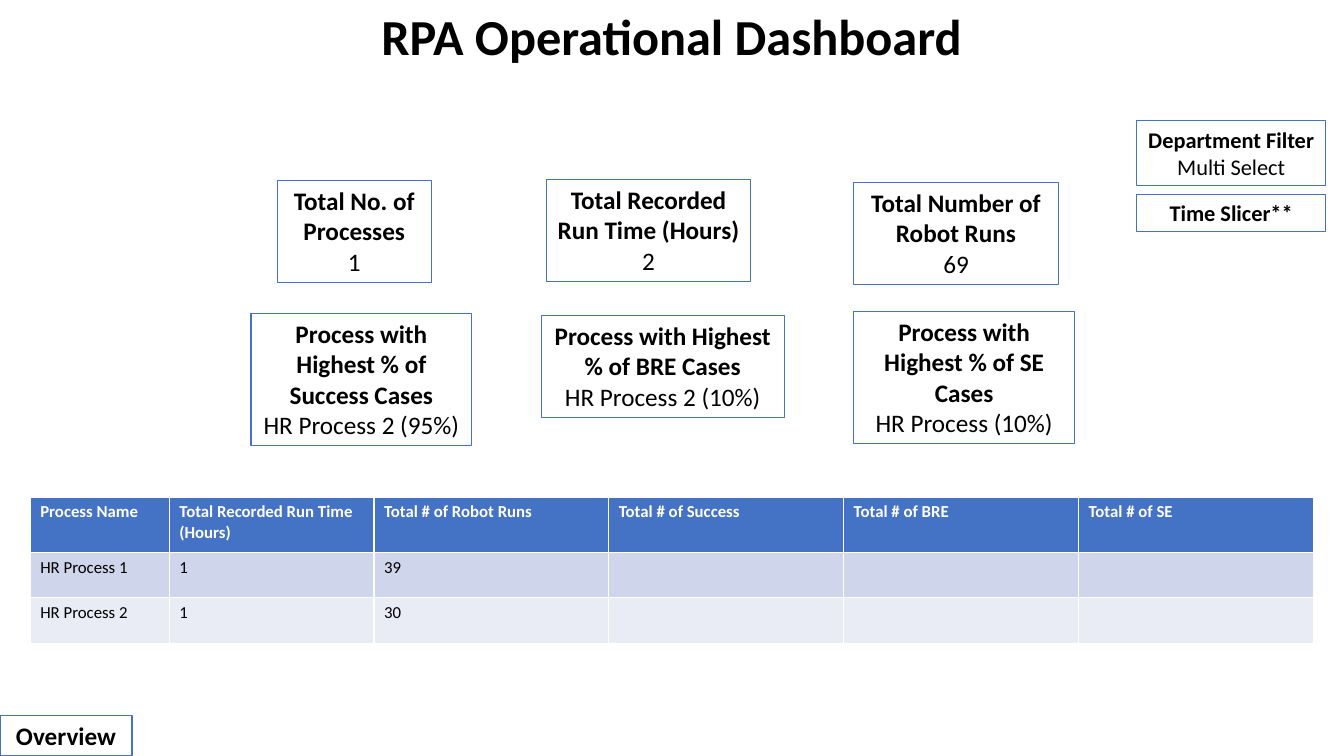
from dataclasses import dataclass

from pptx import Presentation
from pptx.dml.color import RGBColor
from pptx.enum.shapes import MSO_SHAPE
from pptx.enum.text import MSO_ANCHOR, MSO_AUTO_SIZE, PP_ALIGN
from pptx.shapes.autoshape import Shape
from pptx.slide import Slide
from pptx.text.text import TextFrame, _Paragraph as Paragraph
from pptx.util import Pt

BLACK = RGBColor(0x00, 0x00, 0x00)
WHITE = RGBColor(0xFF, 0xFF, 0xFF)
BLUE = RGBColor(0x44, 0x72, 0xC4)
BAND_DARK = RGBColor(0xCF, 0xD5, 0xEA)
BAND_LIGHT = RGBColor(0xE9, 0xEB, 0xF5)
FONT = "Calibri"


@dataclass(frozen=True)
class Card:
    left: float
    top: float
    width: float
    height: float
    heading: str
    value: str = ""
    size: float = 18


CARDS = [
    Card(198, 128.88, 110.16, 72.72, "Total No. of Processes", "1"),
    Card(390.24, 128.16, 146.16, 72.72, "Total Recorded Run Time (Hours)", "2"),
    Card(609.84, 130.32, 146.16, 72.72, "Total Number of Robot Runs", "69"),
    Card(179.28, 223.92, 157.68, 94.32,
         "Process with Highest % of Success Cases", "HR Process 2 (95%)"),
    Card(386.64, 225.36, 173.52, 72.72,
         "Process with Highest % of BRE Cases", "HR Process 2 (10%)"),
    Card(609.84, 222.48, 157.68, 94.32,
         "Process with Highest % of SE Cases", "HR Process (10%)"),
    Card(812.16, 86.4, 134.64, 46.08, "Department Filter", "Multi Select", 16),
    Card(812.16, 138.96, 134.64, 26.64, "Time Slicer**", size=16),
    Card(0, 511.2, 94.32, 28.8, "Overview"),
]

TABLE_ROWS = [
    ["Process Name", "Total Recorded Run Time (Hours)", "Total # of Robot Runs",
     "Total # of Success", "Total # of BRE", "Total # of SE"],
    ["HR Process 1", "1", "39", "", "", ""],
    ["HR Process 2", "1", "30", "", "", ""],
]
COLUMN_WIDTHS = [99.36, 146.16] + [167.76] * 4
ROW_HEIGHTS = [39.6, 32.4, 32.4]
ROW_FILLS = [BLUE, BAND_DARK, BAND_LIGHT]


def format_paragraph(paragraph: Paragraph, size: float, color: RGBColor, bold: bool) -> None:
    for run in paragraph.runs:
        run.font.name = FONT
        run.font.size = Pt(size)
        run.font.color.rgb = color
        run.font.bold = bold


def fill_text(text_frame: TextFrame, heading: str, value: str, size: float) -> None:
    text_frame.text = f"{heading}\n{value}" if value else heading
    text_frame.word_wrap = True
    text_frame.auto_size = MSO_AUTO_SIZE.SHAPE_TO_FIT_TEXT
    text_frame.vertical_anchor = MSO_ANCHOR.TOP
    for index, paragraph in enumerate(text_frame.paragraphs):
        paragraph.alignment = PP_ALIGN.CENTER
        format_paragraph(paragraph, size, BLACK, index == 0)


def add_title(slide: Slide) -> None:
    title = slide.shapes.add_textbox(Pt(56.16), Pt(0), Pt(847.44), Pt(51.12))
    fill_text(title.text_frame, "RPA Operational Dashboard", "", 36)


def add_card(slide: Slide, card: Card) -> Shape:
    shape = slide.shapes.add_shape(
        MSO_SHAPE.RECTANGLE, Pt(card.left), Pt(card.top), Pt(card.width), Pt(card.height))
    shape.shadow.inherit = False
    shape.fill.background()
    shape.line.color.rgb = BLUE
    shape.line.width = Pt(0.75)
    fill_text(shape.text_frame, card.heading, card.value, card.size)
    return shape


def add_process_table(slide: Slide) -> None:
    table = slide.shapes.add_table(
        len(ROW_HEIGHTS), len(COLUMN_WIDTHS), Pt(21.6), Pt(354.96),
        Pt(sum(COLUMN_WIDTHS)), Pt(sum(ROW_HEIGHTS))).table
    for column, width in zip(table.columns, COLUMN_WIDTHS):
        column.width = Pt(width)
    for index, (row, texts) in enumerate(zip(table.rows, TABLE_ROWS)):
        row.height = Pt(ROW_HEIGHTS[index])
        is_header = index == 0
        for cell, text in zip(row.cells, texts):
            cell.fill.solid()
            cell.fill.fore_color.rgb = ROW_FILLS[index]
            paragraph = cell.text_frame.paragraphs[0]
            if text:
                paragraph.text = text
            format_paragraph(paragraph, 12, WHITE if is_header else BLACK, is_header)


def main() -> None:
    presentation = Presentation()
    presentation.slide_width = Pt(960)
    presentation.slide_height = Pt(540)
    slide = presentation.slides.add_slide(presentation.slide_layouts[6])
    add_title(slide)
    for card in CARDS:
        add_card(slide, card)
    add_process_table(slide)
    presentation.save("out.pptx")


if __name__ == "__main__":
    main()
